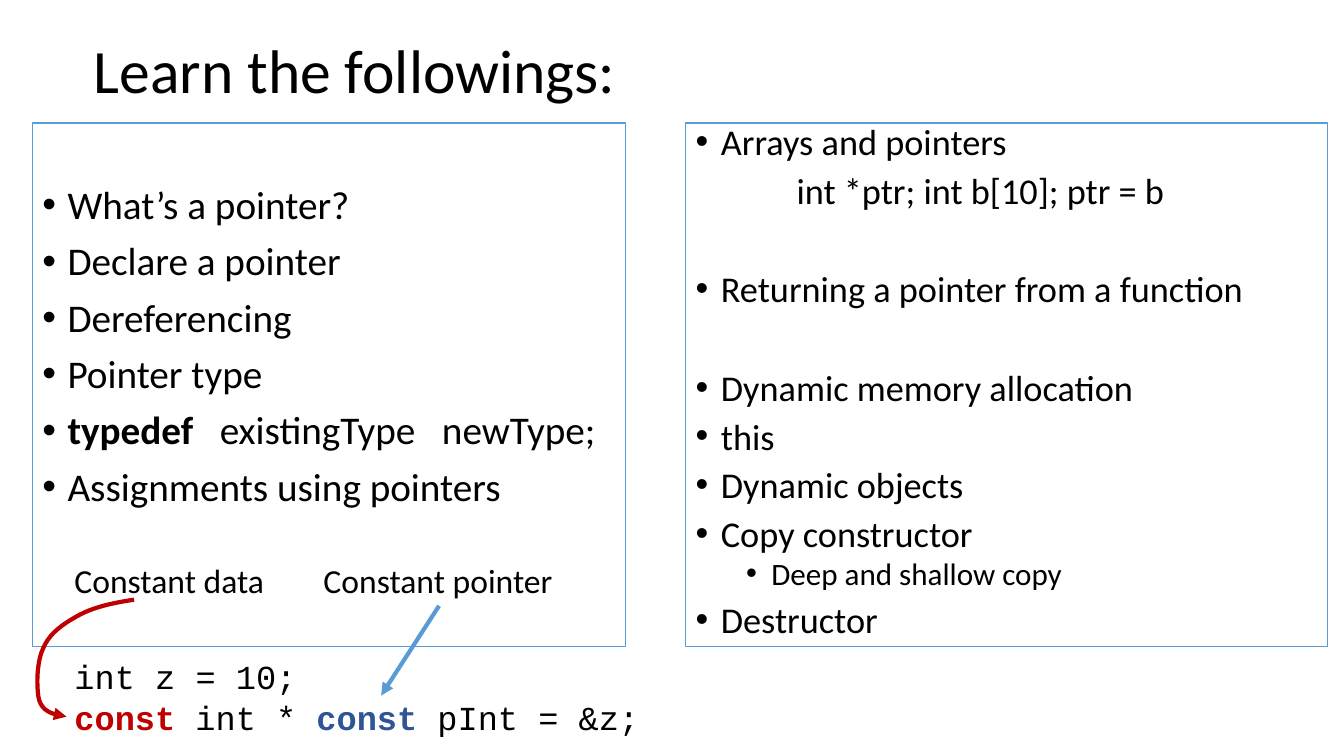
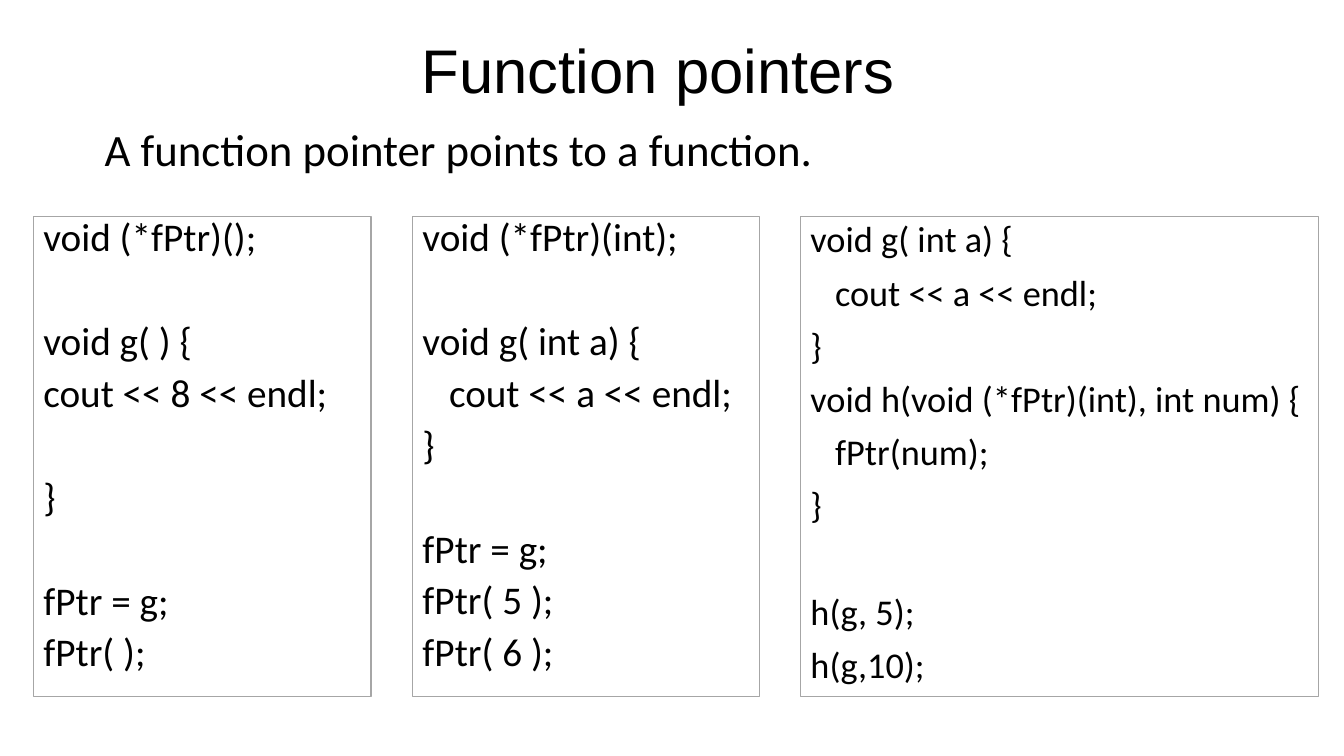
"""Build two slides about pointers and function pointers."""
from lxml import etree
from pptx import Presentation
from pptx.dml.color import RGBColor
from pptx.enum.shapes import MSO_CONNECTOR
from pptx.enum.text import MSO_ANCHOR, MSO_AUTO_SIZE, PP_ALIGN
from pptx.oxml.ns import qn
from pptx.util import Inches, Pt

LEFT, CENTER = PP_ALIGN.LEFT, PP_ALIGN.CENTER
TOP, MIDDLE = MSO_ANCHOR.TOP, MSO_ANCHOR.MIDDLE
FIXED = MSO_AUTO_SIZE.NONE
STRAIGHT = MSO_CONNECTOR.STRAIGHT
BLACK, BLUE, NAVY, RED, GRAY = "000000", "5B9BD5", "2F5597", "C00000", "A6A6A6"
color = RGBColor.from_string


def place(shape, area, edge=None, anchor=TOP, wrap=True):
    """Set the position, outline and text frame of a shape."""
    shape.left, shape.top, shape.width, shape.height = map(Inches, area)
    if edge:
        shape.line.color.rgb = color(edge)
        shape.line.width = Pt(0.75)
    frame = shape.text_frame
    frame.auto_size = FIXED
    frame.word_wrap = wrap
    frame.vertical_anchor = anchor
    return shape


def write(shape, rows, size=24, face="Calibri", space=1, gap=0, left=0,
          bullet=False, level=0, align=LEFT):
    """Append rows as paragraphs; an empty row widens the next gap."""
    frame = shape.text_frame
    skip = 0
    for row in rows:
        if not row:
            skip += 1
            continue
        first = not frame.text
        para = frame.paragraphs[0] if first else frame.add_paragraph()
        para.level = level
        para.alignment = align
        para.line_spacing = space
        blank = skip * (gap + size * space * 1.22)
        para.space_before = Pt(0 if first else round(gap + blank, 1))
        skip = 0
        props = para._p.get_or_add_pPr()
        props.set("marL", str(Inches(left)))
        props.set("indent", str(Inches(-0.25 if bullet else 0)))
        if bullet:
            etree.SubElement(props, qn("a:buFont"), typeface="Arial")
            etree.SubElement(props, qn("a:buChar"), char="•")
        else:
            etree.SubElement(props, qn("a:buNone"))
        runs = [(row, BLACK, False)] if isinstance(row, str) else row
        for text, tint, bold in runs:
            run = para.add_run()
            run.text = text
            font = run.font
            font.size, font.name, font.bold = Pt(size), face, bold
            font.color.rgb = color(tint)


deck = Presentation()
deck.slide_width, deck.slide_height = Inches(13.33), Inches(7.5)
pages = []
for title, left, face, align in (
        ("Learn the followings:", 0.83, "Calibri", LEFT),
        ("Function pointers", 0.78, "Arial", CENTER)):
    page = deck.slides.add_slide(deck.slide_layouts[3])
    head = place(page.shapes.title, (left, 0, 11.5, 1.45), anchor=MIDDLE)
    write(head, [title], size=44, face=face, space=0.9, align=align)
    pages.append(page)
learn, func = pages

basics = place(learn.placeholders[1], (0.32, 1.22, 5.88, 5.19), BLUE)
basics.text_frame.margin_top = Inches(0.62)
write(basics, [
    "What’s a pointer?",
    "Declare a pointer",
    "Dereferencing",
    "Pointer type",
    [("typedef   ", BLACK, True), ("existingType   newType;", BLACK, False)],
    "Assignments using pointers",
], size=28, space=0.9, gap=10, left=0.25, bullet=True)

topics = place(learn.placeholders[2], (6.8, 1.22, 6.37, 5.19), BLUE)
code = dict(size=25.9, space=0.8, gap=10)
item = dict(code, left=0.25, bullet=True)
write(topics, ["Arrays and pointers"], **item)
write(topics, ["int *ptr; int b[10]; ptr = b"], left=1, **code)
write(topics, ["", "Returning a pointer from a function", "",
               "Dynamic memory allocation", "this", "Dynamic objects",
               "Copy constructor"], **item)
write(topics, ["Deep and shallow copy"], size=22.2, space=0.8, gap=5,
      left=0.75, bullet=True, level=1)
write(topics, ["Destructor"], **item)

notes = []
for page, area, rows, size, face in (
        (learn, (0.64, 6.46, 5.85, 0.91),
         ["int z = 10;",
          [("const ", RED, True), ("int * ", BLACK, False),
           ("const ", NAVY, True), ("pInt = &z;", BLACK, False)]],
         24, "Courier New"),
        (learn, (0.64, 5.51, 2.1, 0.5), ["Constant data"], 24, "Calibri"),
        (learn, (3.11, 5.51, 2.49, 0.5), ["Constant pointer"], 24, "Calibri"),
        (func, (0.94, 1.16, 7.31, 0.64),
         ["A function pointer points to a function."], 32, "Calibri")):
    note = place(page.shapes.add_textbox(0, 0, 0, 0), area, wrap=False)
    write(note, rows, size=size, face=face)
    notes.append(note)

arrow = learn.shapes.add_connector(
    STRAIGHT, Inches(4.36), Inches(6.02), Inches(3.78), Inches(6.9))
arrow.begin_connect(notes[2], 2)

bends = [
    [(1.33, 5.95), (1.13, 5.98), (0.94, 6.02), (0.79, 6.1)],
    [(0.79, 6.1), (0.64, 6.18), (0.49, 6.28), (0.43, 6.43)],
    [(0.43, 6.43), (0.36, 6.57), (0.36, 6.84), (0.39, 6.95)],
    [(0.39, 6.95), (0.43, 7.07), (0.54, 7.09), (0.66, 7.11)],
]
steps = 10
dots = []
for bend in bends:
    for step in range(1, steps + 1):
        t = step / steps
        parts = ((1 - t) ** 3, 3 * t * (1 - t) ** 2, 3 * t * t * (1 - t), t ** 3)
        dots.append([Inches(sum(w * p[axis] for w, p in zip(parts, bend)))
                     for axis in (0, 1)])
start = bends[0][0]
pen = learn.shapes.build_freeform(Inches(start[0]), Inches(start[1]))
pen.add_line_segments(dots, close=False)
curve = pen.convert_to_shape()
curve.fill.background()

for shape, tint in ((arrow, BLUE), (curve, RED)):
    shape.line.color.rgb = color(tint)
    shape.line.width = Pt(3)
    props = shape._element.spPr
    etree.SubElement(props.find(qn("a:ln")), qn("a:tailEnd"), type="triangle")
    etree.SubElement(props, qn("a:effectLst"))

for shape, left, width, size, space, rows in (
        (func.placeholders[1], 0.33, 3.35, 28, 0.8,
         ["void (*fPtr)();", "", "void g( ) {", "cout << 8 << endl;", "",
          "}", "", "fPtr = g;", "fPtr( );"]),
        (func.placeholders[2], 4.09, 3.44, 28, 0.8,
         ["void (*fPtr)(int);", "", "void g( int a) {",
          "   cout << a << endl;", "}", "", "fPtr = g;", "fPtr( 5 );",
          "fPtr( 6 );"]),
        (func.shapes.add_textbox(0, 0, 0, 0), 7.94, 5.14, 25.9, 0.9,
         ["void g( int a) {", "   cout << a << endl;", "}",
          "void h(void (*fPtr)(int), int num) {", "   fPtr(num);", "}", "",
          "h(g, 5);", "h(g,10);"])):
    place(shape, (left, 2.15, width, 4.76), GRAY)
    write(shape, rows, size=size, space=space, gap=10)

deck.save("out.pptx")
